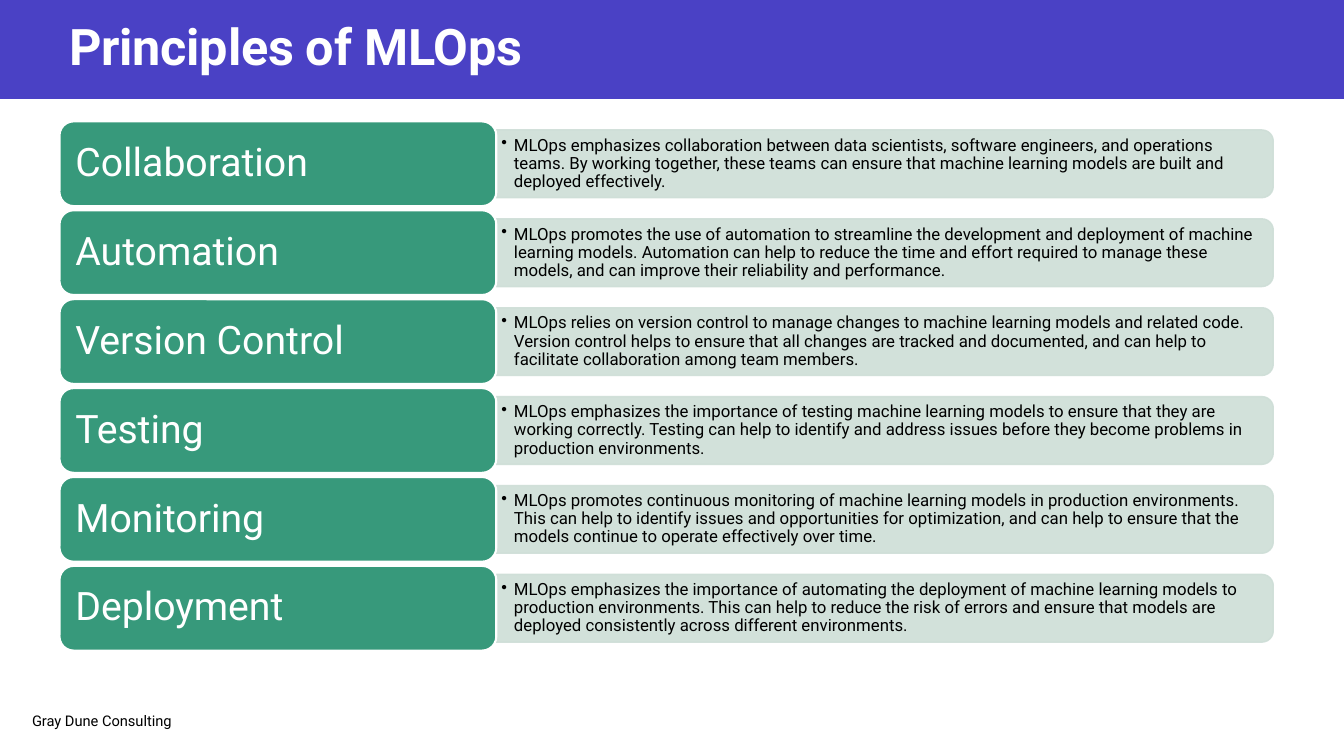
from pptx import Presentation
from pptx.dml.color import RGBColor
from pptx.enum.shapes import MSO_SHAPE as Preset
from pptx.enum.text import MSO_ANCHOR as Anchor, PP_ALIGN as Align
from pptx.oxml.ns import qn
from pptx.util import Pt
from lxml.etree import SubElement

INDIGO = RGBColor(0x4A, 0x41, 0xC5)
GREEN = RGBColor(0x37, 0x99, 0x7B)
MINT = RGBColor(0xCE, 0xDE, 0xD7)
WHITE = RGBColor(0xFF, 0xFF, 0xFF)
BLACK = RGBColor(0x00, 0x00, 0x00)
FONT = "Roboto"

LABEL_LEFT, LABEL_WIDTH, LABEL_HEIGHT = 42.5, 312, 60.5
PANEL_LEFT = LABEL_LEFT + LABEL_WIDTH
PANEL_WIDTH, PANEL_HEIGHT = 555, 48.4
DETAIL_WIDTH, DETAIL_HEIGHT = 552, 44
FIRST_MIDDLE, ROW_PITCH = 117, 63.5

PRINCIPLES = [
    ("Collaboration",
     "MLOps emphasizes collaboration between data scientists, software engineers, "
     "and operations teams. By working together, these teams can ensure that "
     "machine learning models are built and deployed effectively."),
    ("Automation",
     "MLOps promotes the use of automation to streamline the development and "
     "deployment of machine learning models. Automation can help to reduce the time "
     "and effort required to manage these models, and can improve their reliability "
     "and performance."),
    ("Version Control",
     "MLOps relies on version control to manage changes to machine learning models "
     "and related code. Version control helps to ensure that all changes are tracked "
     "and documented, and can help to facilitate collaboration among team members."),
    ("Testing",
     "MLOps emphasizes the importance of testing machine learning models to ensure "
     "that they are working correctly. Testing can help to identify and address "
     "issues before they become problems in production environments."),
    ("Monitoring",
     "MLOps promotes continuous monitoring of machine learning models in production "
     "environments. This can help to identify issues and opportunities for "
     "optimization, and can help to ensure that the models continue to operate "
     "effectively over time."),
    ("Deployment",
     "MLOps emphasizes the importance of automating the deployment of machine "
     "learning models to production environments. This can help to reduce the risk "
     "of errors and ensure that models are deployed consistently across different "
     "environments."),
]


def add_block(page, preset, left, top, width, height, color):
    block = page.shapes.add_shape(preset, Pt(left), Pt(top), Pt(width), Pt(height))
    block.shadow.inherit = False
    block.fill.solid()
    block.fill.fore_color.rgb = color
    block.line.fill.background()
    return block


def outline(block, color, width):
    block.line.color.rgb = color
    block.line.width = Pt(width)


def write(box, text, size, color, margin_x=7.2, margin_y=3.6, line_spacing=0.9):
    frame = box.text_frame
    frame.word_wrap = True
    frame.vertical_anchor = Anchor.MIDDLE
    frame.margin_left = frame.margin_right = Pt(margin_x)
    frame.margin_top = frame.margin_bottom = Pt(margin_y)
    para = frame.paragraphs[0]
    para.text = text
    para.alignment = Align.LEFT
    para.line_spacing = line_spacing
    para.font.name = FONT
    para.font.size = Pt(size)
    para.font.color.rgb = color
    return para


def add_text(page, left, top, width, height, text, size, color, **layout):
    box = page.shapes.add_textbox(Pt(left), Pt(top), Pt(width), Pt(height))
    return write(box, text, size, color, **layout)


def add_bullet(para, indent):
    properties = para._p.get_or_add_pPr()
    properties.set("marL", str(Pt(indent)))
    properties.set("indent", str(Pt(-indent)))
    bullet = properties.makeelement(qn("a:buChar"), {"char": "•"})
    properties.insert_element_before(bullet, "a:tabLst", "a:defRPr", "a:extLst")


def add_header(page, width):
    add_block(page, Preset.RECTANGLE, 0, 0, width, 70.6, INDIGO)
    title = add_text(page, 42.5, 10.8, 779, 48.2, "Principles of MLOps", 36, WHITE)
    title.font.bold = True
    title.runs[0]._r.get_or_add_rPr().set("spc", "-20")


def add_panel(page, middle):
    left = PANEL_LEFT + (PANEL_WIDTH - PANEL_HEIGHT) / 2
    top = middle - PANEL_WIDTH / 2
    panel = add_block(page, Preset.ROUND_2_SAME_RECTANGLE,
                      left, top, PANEL_HEIGHT, PANEL_WIDTH, MINT)
    panel.rotation = 90
    outline(panel, MINT, 1)
    for color in panel._element.spPr.iter(qn("a:srgbClr")):
        SubElement(color, qn("a:alpha"), val="90000")


def add_principle(page, middle, name, detail):
    add_panel(page, middle)
    para = add_text(page, PANEL_LEFT, middle - DETAIL_HEIGHT / 2, DETAIL_WIDTH,
                    DETAIL_HEIGHT, detail, 12, BLACK, margin_x=3.6, margin_y=2.2)
    add_bullet(para, 9)
    label = add_block(page, Preset.ROUNDED_RECTANGLE, LABEL_LEFT,
                      middle - LABEL_HEIGHT / 2, LABEL_WIDTH, LABEL_HEIGHT, GREEN)
    outline(label, WHITE, 1.5)
    write(label, name, 28, WHITE, margin_x=8.4, margin_y=4.2)


def main():
    deck = Presentation()
    deck.slide_width, deck.slide_height = Pt(960), Pt(540)
    page = deck.slides.add_slide(deck.slide_layouts[6])
    add_header(page, 960)
    for row, (name, detail) in enumerate(PRINCIPLES):
        add_principle(page, FIRST_MIDDLE + row * ROW_PITCH, name, detail)
    add_text(page, 15.8, 500.4, 381, 28.8, "Gray Dune Consulting", 10.5, BLACK,
             line_spacing=1.0)
    deck.save("out.pptx")


if __name__ == "__main__":
    main()
